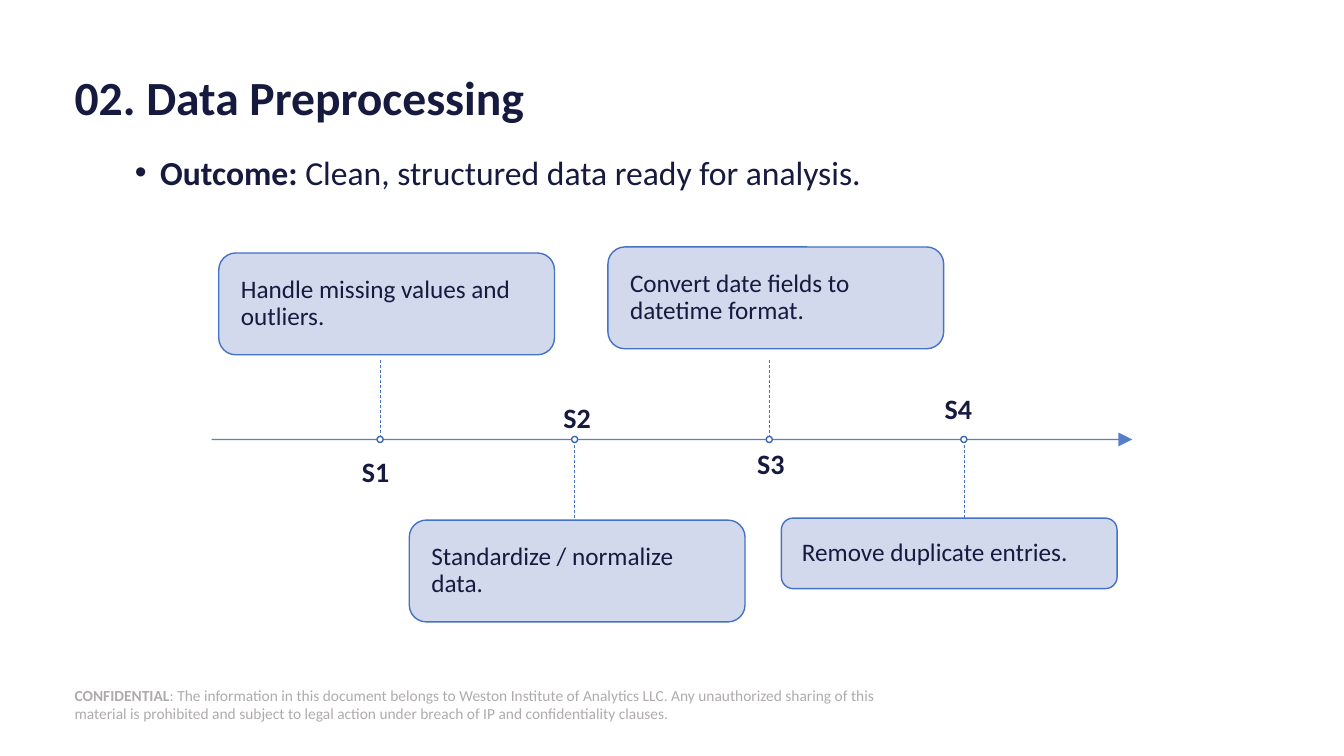
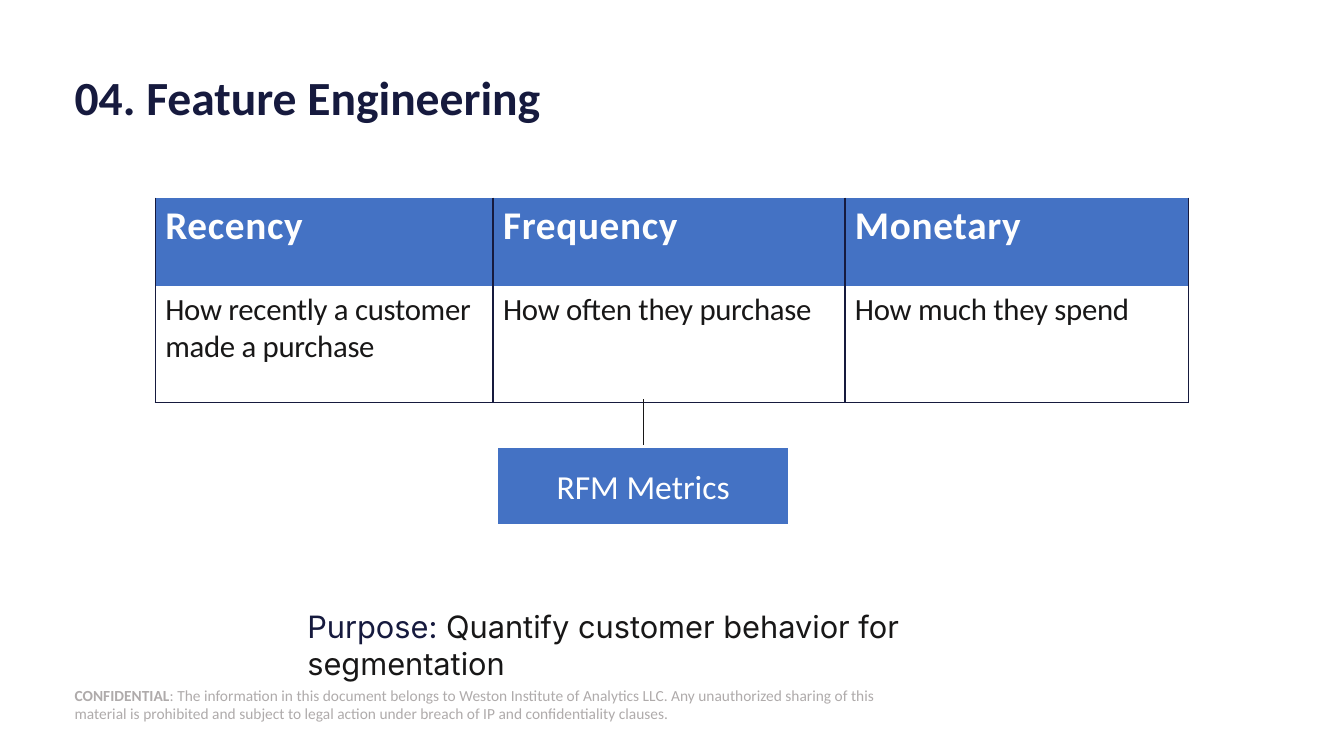
from lxml.etree import SubElement
from pptx import Presentation
from pptx.dml.color import RGBColor
from pptx.enum.dml import MSO_LINE_DASH_STYLE as Dash
from pptx.enum.shapes import MSO_CONNECTOR_TYPE as Connector, MSO_SHAPE as Shape
from pptx.enum.text import MSO_ANCHOR as Anchor, PP_ALIGN as Align
from pptx.oxml.ns import qn
from pptx.util import Pt

PX = 9144
COLORS = {
    "navy": "161A3E",
    "ink": "181717",
    "blue": "4472C4",
    "dot": "3E67B2",
    "card": "CFD5EA",
    "footer": "AFABAB",
    "offwhite": "FEFEFE",
    "white": "FFFFFF",
}
FONT = "Calibri"
TITLE_BOX = (74, 66, 1185, 67)
FOOTER_BOX = (74, 679, 817, 40)
NOTICE = (
    ": The information in this document belongs to Weston Institute of Analytics LLC. "
    "Any unauthorized sharing of this material is prohibited and subject to legal action "
    "under breach of IP and confidentiality clauses."
)
STEPS = [
    ("S1", "Handle missing values and outliers.", (7, 6, 333, 101), (16, 210)),
    ("S2", "Standardize / normalize data.", (196, 271, 333, 101), (216, 139)),
    ("S3", "Convert date fields to datetime format.", (393, 0, 333, 101), (408, 202)),
    ("S4", "Remove duplicate entries.", (565, 269, 333, 70), (594, 130)),
]
METRICS = [
    ("Recency", "How recently a customer made a purchase", 335),
    ("Frequency", "How often they purchase", 349),
    ("Monetary", "How much they spend", 341),
]


def emu(*lengths):
    return [length * PX for length in lengths]


def rgb(name):
    return RGBColor.from_string(COLORS[name])


def set_alpha(color_parent, percent):
    color = next(color_parent.iter(qn("a:srgbClr")))
    SubElement(color, qn("a:alpha"), val=str(percent * 1000))


def style_font(font, size, color, bold=None, name=FONT):
    font.name = name
    font.size = Pt(size)
    font.bold = bold
    font.color.rgb = rgb(color)


def set_frame(shape, inset, anchor):
    frame = shape.text_frame
    frame.word_wrap = True
    frame.vertical_anchor = anchor
    frame.margin_left = frame.margin_right = inset[0] * PX
    frame.margin_top = frame.margin_bottom = inset[1] * PX
    return frame.paragraphs[0]


def add_text(slide, box, inset=(0, 0), anchor=Anchor.TOP):
    return set_frame(slide.shapes.add_textbox(*emu(*box)), inset, anchor)


def add_run(paragraph, text, bold=None, color=None):
    run = paragraph.add_run()
    run.text = text
    run.font.bold = bold
    if color:
        run.font.color.rgb = rgb(color)
    return run


def add_box(slide, kind, box, fill, line, width):
    shape = slide.shapes.add_shape(kind, *emu(*box))
    shape.shadow.inherit = False
    shape.fill.solid()
    shape.fill.fore_color.rgb = rgb(fill)
    shape.line.color.rgb = rgb(line)
    shape.line.width = Pt(width)
    return shape


def add_line(slide, start, end, color, width):
    line = slide.shapes.add_connector(Connector.STRAIGHT, *emu(*start, *end))
    line.line.color.rgb = rgb(color)
    line.line.width = Pt(width)
    SubElement(line._element.spPr, qn("a:effectLst"))
    return line


def add_base_slide(presentation, title):
    slide = presentation.slides.add_slide(presentation.slide_layouts[6])
    footer = add_text(slide, FOOTER_BOX, anchor=Anchor.MIDDLE)
    add_run(footer, "CONFIDENTIAL", bold=True)
    add_run(footer, NOTICE)
    style_font(footer.font, 11, "footer")
    heading = add_text(slide, TITLE_BOX, anchor=Anchor.MIDDLE)
    heading.text = title
    heading.line_spacing = 0.9
    style_font(heading.font, 34, "navy", bold=True)
    return slide


def add_outcome(slide, box):
    paragraph = add_text(slide, box, inset=(10, 5))
    add_run(paragraph, "Outcome: ", bold=True)
    add_run(paragraph, "Clean, structured data ready for analysis.")
    paragraph.line_spacing = 0.9
    properties = paragraph._p.get_or_add_pPr()
    properties.set("marL", str(75 * PX))
    properties.set("indent", str(-25 * PX))
    SubElement(properties, qn("a:buFont"), typeface="Arial")
    SubElement(properties, qn("a:buChar"), char="•")
    style_font(paragraph.font, 24, "navy")


def add_step_card(slide, box, text):
    card = add_box(slide, Shape.ROUNDED_RECTANGLE, box, "card", "blue", 1)
    set_alpha(card._element.spPr.find(qn("a:solidFill")), 90)
    paragraph = set_frame(card, (17, 17), Anchor.MIDDLE)
    paragraph.text = text
    paragraph.alignment = Align.LEFT
    paragraph.line_spacing = 0.9
    style_font(paragraph.font, 18, "navy")


def add_step_label(slide, box, text, anchor):
    paragraph = add_text(slide, box, anchor=anchor)
    paragraph.text = text
    paragraph.alignment = Align.CENTER
    paragraph.line_spacing = 0.9
    style_font(paragraph.font, 20, "navy", bold=True)


def add_timeline(slide, box):
    left, top, width, _ = box
    axis_y = top + 191
    first_dot, pitch, radius = left + 167, 193, 3
    axis = add_line(slide, (left, axis_y), (left + width, axis_y), "blue", 1)
    outline = axis.line._get_or_add_ln()
    set_alpha(outline, 90)
    SubElement(outline, qn("a:tailEnd"), type="triangle", w="lg", len="lg")
    for index, (label, text, card, label_at) in enumerate(STEPS):
        x = first_dot + index * pitch
        above = index % 2 == 0
        card_left, card_top, card_width, card_height = card
        add_step_card(slide, (left + card_left, top + card_top, card_width, card_height), text)
        stem_end = axis_y - 79 if above else axis_y + 78
        stem = add_line(slide, (x, stem_end), (x, axis_y), "blue", 0.5)
        stem.line.dash_style = Dash.DASH
        dot = (x - radius, axis_y - radius, 2 * radius, 2 * radius)
        add_box(slide, Shape.OVAL, dot, "white", "dot", 1)
        label_box = (left + label_at[0], top + label_at[1], 293, 47)
        add_step_label(slide, label_box, label, Anchor.TOP if above else Anchor.BOTTOM)


def set_borders(cell, sides):
    properties = cell._tc.get_or_add_tcPr()
    for side in "LRTB":
        visible = side in sides
        line = SubElement(properties, qn(f"a:ln{side}"), w=str(Pt(1) if visible else 0))
        fill = SubElement(line, qn("a:solidFill" if visible else "a:noFill"))
        if visible:
            SubElement(fill, qn("a:srgbClr"), val=COLORS["navy"])


def fill_cell(cell, text, sides, fill, size, color, bold, spacing):
    set_borders(cell, sides)
    cell.fill.solid()
    cell.fill.fore_color.rgb = rgb(fill)
    paragraph = cell.text_frame.paragraphs[0]
    run = add_run(paragraph, text)
    run._r.get_or_add_rPr().set("spc", str(spacing))
    style_font(paragraph.font, size, color, bold=bold)


def add_metrics_table(slide, box):
    table = slide.shapes.add_table(2, len(METRICS), *emu(*box)).table
    table.first_row = False
    table.horz_banding = False
    header_height = 88
    table.rows[0].height = header_height * PX
    table.rows[1].height = (box[3] - header_height) * PX
    for column, (name, meaning, width) in enumerate(METRICS):
        table.columns[column].width = width * PX
        fill_cell(table.cell(0, column), name, "LR", "blue", 28, "offwhite", True, 50)
        fill_cell(table.cell(1, column), meaning, "LRB", "white", 22, "ink", False, -20)


def add_metrics_tag(slide, box, line_top):
    left, top, width, _ = box
    middle = left + width // 2
    line = add_line(slide, (middle, line_top), (middle, top), "ink", 0.5)
    tag = add_box(slide, Shape.RECTANGLE, box, "blue", "white", 1.5)
    line.end_connect(tag, 0)
    paragraph = set_frame(tag, (10, 5), Anchor.MIDDLE)
    paragraph.text = "RFM Metrics"
    paragraph.alignment = Align.CENTER
    style_font(paragraph.font, 24, "white")


def add_purpose(slide, box):
    paragraph = add_text(slide, box, inset=(10, 5))
    add_run(paragraph, "Purpose: ", color="navy")
    add_run(paragraph, "Quantify customer behavior for segmentation")
    style_font(paragraph.font, 22, "ink", name="Inter")


def build_preprocessing(presentation):
    slide = add_base_slide(presentation, "02. Data Preprocessing")
    add_outcome(slide, (74, 150, 1185, 60))
    add_timeline(slide, (210, 245, 913, 372))


def build_features(presentation):
    slide = add_base_slide(presentation, "04. Feature Engineering")
    add_metrics_table(slide, (154, 196, 1025, 203))
    add_metrics_tag(slide, (493, 443, 290, 78), 396)
    add_purpose(slide, (295, 598, 743, 80))


def main():
    presentation = Presentation()
    presentation.slide_width, presentation.slide_height = emu(1333, 750)
    build_preprocessing(presentation)
    build_features(presentation)
    presentation.save("out.pptx")


if __name__ == "__main__":
    main()
